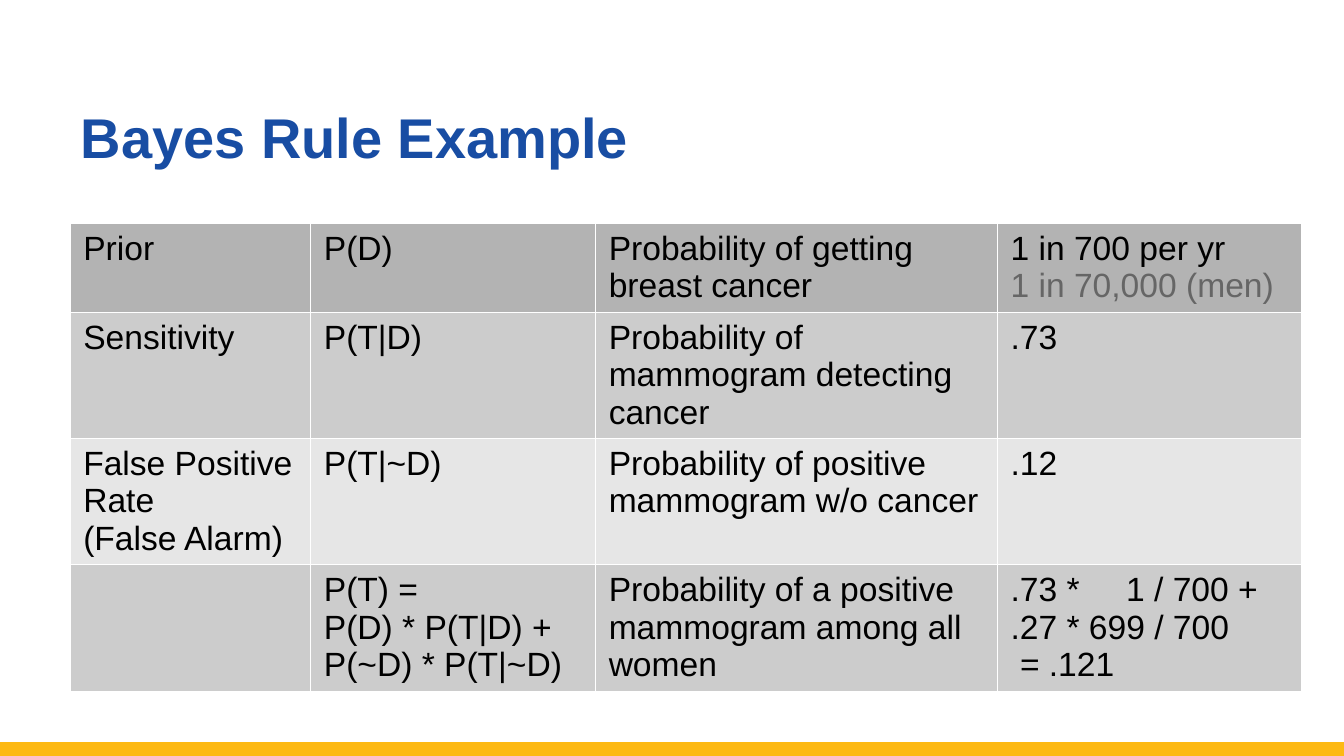
from dataclasses import dataclass

from lxml import etree
from pptx import Presentation
from pptx.dml.color import RGBColor
from pptx.enum.shapes import MSO_CONNECTOR
from pptx.enum.text import MSO_ANCHOR, MSO_AUTO_SIZE, PP_ALIGN
from pptx.oxml.ns import qn
from pptx.table import _Cell
from pptx.text.text import _Paragraph
from pptx.util import Inches, Pt

STRAIGHT = MSO_CONNECTOR.STRAIGHT
BOTTOM = MSO_ANCHOR.BOTTOM
FIXED = MSO_AUTO_SIZE.NONE
LEFT = PP_ALIGN.LEFT

BLACK = RGBColor(0x00, 0x00, 0x00)
DIM = RGBColor(0x66, 0x66, 0x66)
BLUE = RGBColor(0x18, 0x4D, 0xA3)
GOLD = RGBColor(0xFD, 0xB9, 0x13)
DARK = RGBColor(0xB3, 0xB3, 0xB3)
MID = RGBColor(0xCC, 0xCC, 0xCC)
PALE = RGBColor(0xE6, 0xE6, 0xE6)

FONT = "Arial"
WIDTHS = (1.79, 2.12, 2.99, 2.26)


@dataclass
class Line:
    text: str
    color: RGBColor = BLACK
    indent: float = 0
    tab: float = 0


@dataclass
class Row:
    height: float
    fill: RGBColor
    cells: list[list[Line]]


ROWS = [
    Row(0.66, DARK, [
        [Line("Prior")],
        [Line("P(D)")],
        [Line("Probability of getting breast cancer")],
        [Line("1 in 700 per yr"), Line("1 in 70,000 (men)", DIM)],
    ]),
    Row(0.94, MID, [
        [Line("Sensitivity")],
        [Line("P(T|D)")],
        [Line("Probability of mammogram detecting cancer")],
        [Line(".73")],
    ]),
    Row(0.94, PALE, [
        [Line("False Positive Rate"), Line("(False Alarm)")],
        [Line("P(T|~D)")],
        [Line("Probability of positive mammogram w/o cancer")],
        [Line(".12")],
    ]),
    Row(0.94, MID, [
        [],
        [Line("P(T) ="), Line("P(D) * P(T|D) + P(~D) * P(T|~D)")],
        [Line("Probability of a positive mammogram among all women")],
        [Line(".73 *\t1 / 700 +", tab=0.86), Line(".27 * 699 / 700"),
         Line("= .121", indent=0.07)],
    ]),
]


def write(para: _Paragraph, text: str, *, size: float = 18,
          color: RGBColor = BLACK, bold: bool = False,
          indent: float = 0, tab: float = 0) -> None:
    para.alignment = LEFT
    run = para.add_run()
    run.text = text
    run.font.name = FONT
    run.font.size = Pt(size)
    run.font.bold = bold
    run.font.color.rgb = color
    props = para._p.get_or_add_pPr()
    if indent:
        props.set("marL", str(Inches(indent)))
    if tab:
        stops = etree.SubElement(props, qn("a:tabLst"))
        etree.SubElement(stops, qn("a:tab"), pos=str(Inches(tab)), algn="l")


def edge(cell: _Cell) -> None:
    props = cell._tc.get_or_add_tcPr()
    for spot, side in enumerate(("lnL", "lnR", "lnT", "lnB")):
        line = etree.Element(qn(f"a:{side}"), w=str(Pt(0.06)))
        fill = etree.SubElement(line, qn("a:solidFill"))
        etree.SubElement(fill, qn("a:srgbClr"), val="FFFFFF")
        props.insert(spot, line)


def draw_cell(cell: _Cell, lines: list[Line], fill: RGBColor) -> None:
    cell.fill.solid()
    cell.fill.fore_color.rgb = fill
    cell.margin_left = cell.margin_right = Inches(0.1)
    cell.margin_top = cell.margin_bottom = Inches(0.05)
    edge(cell)
    frame = cell.text_frame
    for i, line in enumerate(lines):
        para = frame.add_paragraph() if i else frame.paragraphs[0]
        write(para, line.text, color=line.color,
              indent=line.indent, tab=line.tab)


def main() -> None:
    deck = Presentation()
    deck.slide_width = Inches(10)
    deck.slide_height = Inches(10) * 9 // 16
    slide = deck.slides.add_slide(deck.slide_layouts[5])

    title = slide.shapes.title
    title.left, title.top = Inches(0.5), Inches(0)
    title.width, title.height = Inches(9), Inches(1.31)
    frame = title.text_frame
    frame.auto_size = FIXED
    frame.word_wrap = True
    frame.vertical_anchor = BOTTOM
    head = frame.paragraphs[0]
    head.line_spacing = Pt(58)
    write(head, "Bayes Rule Example", size=30, color=BLUE, bold=True)

    base = Inches(5.58)
    band = slide.shapes.add_connector(STRAIGHT, 0, base, Inches(10), base)
    band.line.color.rgb = GOLD
    band.line.width = Pt(8)
    etree.SubElement(band._element.spPr, qn("a:effectLst"))

    high = sum(row.height for row in ROWS)
    table = slide.shapes.add_table(
        len(ROWS), len(WIDTHS), Inches(0.52), Inches(1.66),
        Inches(sum(WIDTHS)), Inches(high)).table
    table.first_row = False
    table.horz_banding = False
    for col, width in zip(table.columns, WIDTHS):
        col.width = Inches(width)
    for r, row in enumerate(ROWS):
        table.rows[r].height = Inches(row.height)
        for c, lines in enumerate(row.cells):
            draw_cell(table.cell(r, c), lines, row.fill)

    deck.save("out.pptx")


if __name__ == "__main__":
    main()
